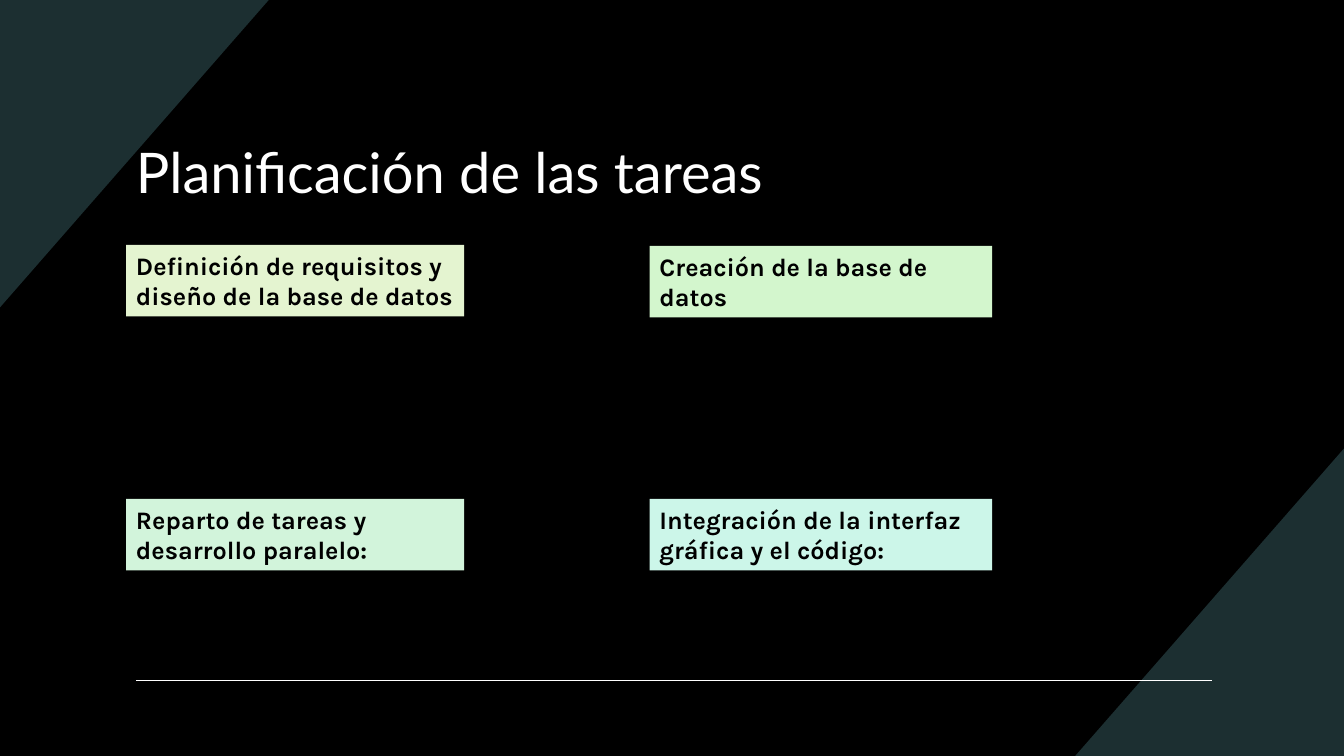
from dataclasses import dataclass

from lxml.etree import SubElement
from pptx import Presentation
from pptx.dml.color import RGBColor as Color
from pptx.enum.shapes import MSO_CONNECTOR as Link, MSO_SHAPE as Kind
from pptx.enum.text import MSO_ANCHOR as Anchor, MSO_AUTO_SIZE as Fit, PP_ALIGN as Align
from pptx.oxml.ns import qn
from pptx.shapes.autoshape import Shape
from pptx.slide import Slide
from pptx.util import Inches, Pt

WIDTH, HEIGHT = Inches(13.33), Inches(7.5)


@dataclass(frozen=True)
class Theme:
    back: str = "000000"
    corner: str = "1C2F31"
    light: str = "FFFFFF"
    dark: str = "000000"
    head: str = "Lato"
    body: str = "Karla"
    big: int = 40
    small: int = 18
    rule: int = 1


@dataclass(frozen=True)
class Card:
    col: int
    row: int
    text: str
    fill: str


@dataclass(frozen=True)
class Column:
    left: float
    width: float
    tops: tuple[float, float]


THEME = Theme()
COLUMNS = (
    Column(9.38, 25.15, (32.4, 66)),
    Column(48.33, 25.5, (32.53, 66)),
)
CARD_TALL = 9.47
CARDS = (
    Card(0, 0, "Definición de requisitos y diseño de la base de datos", "E4F4D0"),
    Card(1, 0, "Creación de la base de datos", "D3F6CD"),
    Card(1, 1, "Integración de la interfaz gráfica y el código:", "CCF6E9"),
    Card(0, 1, "Reparto de tareas y desarrollo paralelo:", "D2F4DB"),
)
CORNER_WIDE, CORNER_TALL = 20, 40.67


def across(share: float) -> int:
    return round(WIDTH * share / 100)


def down(share: float) -> int:
    return round(HEIGHT * share / 100)


def paint(shape: Shape, tone: str) -> None:
    shape.shadow.inherit = False
    shape.fill.solid()
    shape.fill.fore_color.rgb = Color.from_string(tone)
    shape.line.fill.background()


def write(shape: Shape, text: str, *, font: str, size: int, tone: str,
          bold: bool = False, anchor: Anchor = Anchor.TOP, fit: Fit = Fit.NONE) -> None:
    frame = shape.text_frame
    frame.word_wrap = True
    frame.auto_size = fit
    frame.vertical_anchor = anchor
    para = frame.paragraphs[0]
    para.alignment = Align.LEFT
    run = para.add_run()
    run.text = text
    run.font.name = font
    run.font.size = Pt(size)
    run.font.bold = bold
    run.font.color.rgb = Color.from_string(tone)


def draw_corner(slide: Slide, x: float, y: float, turn: int) -> None:
    start, *rest = [
        (across(x), down(y + turn * CORNER_TALL)),
        (across(x), down(y)),
        (across(x + turn * CORNER_WIDE), down(y)),
    ]
    path = slide.shapes.build_freeform(*start)
    path.add_line_segments(rest, close=True)
    paint(path.convert_to_shape(), THEME.corner)


def draw_rule(slide: Slide) -> None:
    rule = slide.shapes.add_connector(
        Link.STRAIGHT, across(10.13), down(90), across(90.15), down(90))
    rule.line.color.rgb = Color.from_string(THEME.light)
    rule.line.width = Pt(THEME.rule)
    SubElement(rule.element.spPr, qn("a:effectLst"))


def draw_title(slide: Slide) -> None:
    box = slide.shapes.add_textbox(across(9.38), down(12.67), across(81.23), down(19.87))
    write(box, "Planificación de las tareas", font=THEME.head, size=THEME.big,
          tone=THEME.light, anchor=Anchor.MIDDLE)


def draw_card(slide: Slide, card: Card) -> None:
    col = COLUMNS[card.col]
    box = slide.shapes.add_shape(
        Kind.RECTANGLE, across(col.left), down(col.tops[card.row]),
        across(col.width), down(CARD_TALL))
    paint(box, card.fill)
    write(box, card.text, font=THEME.body, size=THEME.small, tone=THEME.dark,
          bold=True, fit=Fit.SHAPE_TO_FIT_TEXT)


def main() -> None:
    deck = Presentation()
    deck.slide_width, deck.slide_height = WIDTH, HEIGHT
    slide = deck.slides.add_slide(deck.slide_layouts[6])
    back = slide.background.fill
    back.solid()
    back.fore_color.rgb = Color.from_string(THEME.back)
    draw_corner(slide, 100, 100, -1)
    draw_corner(slide, 0, 0, 1)
    draw_rule(slide)
    draw_title(slide)
    for card in CARDS:
        draw_card(slide, card)
    deck.save("out.pptx")


if __name__ == "__main__":
    main()
